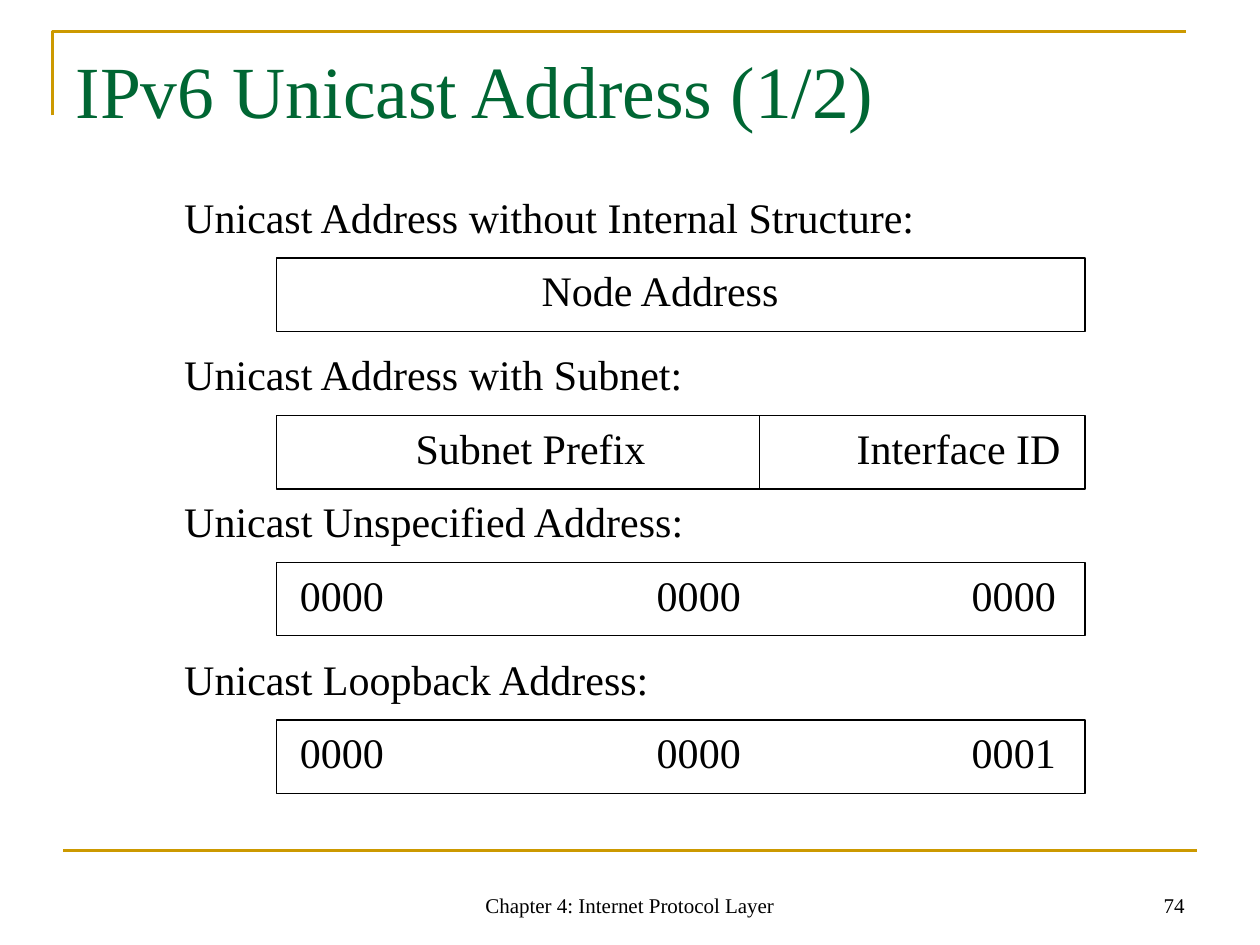
from pptx import Presentation
from pptx.dml.color import RGBColor
from pptx.enum.shapes import MSO_CONNECTOR, MSO_SHAPE
from pptx.enum.text import MSO_ANCHOR, MSO_AUTO_SIZE, PP_ALIGN
from pptx.oxml.ns import qn
from pptx.util import Pt
from lxml.etree import SubElement

BLACK, GOLD, GREEN = "000000", "CC9900", "006633"


def write(frame, text, size, color=BLACK, align=PP_ALIGN.LEFT,
          anchor=MSO_ANCHOR.TOP, wrap=False):
    """Fill a text frame with one formatted paragraph."""
    frame.text = text
    frame.word_wrap = wrap
    frame.auto_size = (MSO_AUTO_SIZE.NONE if wrap
                       else MSO_AUTO_SIZE.SHAPE_TO_FIT_TEXT)
    frame.vertical_anchor = anchor
    paragraph = frame.paragraphs[0]
    paragraph.alignment = align
    font = paragraph.runs[0].font
    font.name = "Times New Roman"
    font.size = Pt(size)
    font.color.rgb = RGBColor.from_string(color)


def draw_line(x1, y1, x2, y2, color, width):
    line = slide.shapes.add_connector(
        MSO_CONNECTOR.STRAIGHT, Pt(x1), Pt(y1), Pt(x2), Pt(y2))
    line.line.color.rgb = RGBColor.from_string(color)
    line.line.width = Pt(width)
    SubElement(line._element.spPr, qn("a:effectLst"))


prs = Presentation()
prs.slide_width, prs.slide_height = Pt(720), Pt(540)
slide = prs.slides.add_slide(prs.slide_layouts[5])

# Gold frame: corner above the title and rule above the footer
outline = slide.shapes.build_freeform(Pt(30), Pt(66))
outline.add_line_segments([(Pt(30), Pt(18)), (Pt(678), Pt(18))], close=False)
corner = outline.convert_to_shape()
corner.shadow.inherit = False
corner.fill.background()
corner.line.color.rgb = RGBColor.from_string(GOLD)
corner.line.width = Pt(1.5)
draw_line(36, 486, 684, 486, GOLD, 1.5)

# Footer and page number
for text, left, width, align in [
        ("Chapter 4: Internet Protocol Layer", 246, 228, PP_ALIGN.CENTER),
        ("74", 516, 168, PP_ALIGN.RIGHT)]:
    footer = slide.shapes.add_textbox(Pt(left), Pt(492), Pt(width), Pt(36))
    write(footer.text_frame, text, 12, align=align,
          anchor=MSO_ANCHOR.BOTTOM, wrap=True)

title = slide.shapes.title
title.left, title.top, title.width, title.height = Pt(36), Pt(22), Pt(648), Pt(90)
write(title.text_frame, "IPv6 Unicast Address (1/2)", 42, GREEN, wrap=True)

# Each address format: heading, heading width, top of its frame,
# and its fields as (text, left, width)
FRAME_LEFT, FRAME_WIDTH, FRAME_HEIGHT = 158, 462, 42
HEADING_RISE = 42
address_formats = [
    ("Unicast Address without Internal Structure:", 433, 147.5,
     [("Node Address", 302.4, 151.2)]),
    ("Unicast Address with Subnet:", 300.5, 237.5,
     [("Subnet Prefix", 230.4, 146)  , ("Interface ID", 482.4, 131.5)]),
    ("Unicast Unspecified Address:", 301.5, 321.4,
     [("0000", 164.2, 63), ("0000", 368.2, 63), ("0000", 548.2, 63)]),
    ("Unicast Loopback Address:", 281, 411.4,
     [("0000", 164.2, 63), ("0000", 368.2, 63), ("0001", 548.2, 63)]),
]
for heading, heading_width, top, fields in address_formats:
    frame = slide.shapes.add_shape(
        MSO_SHAPE.RECTANGLE, Pt(FRAME_LEFT), Pt(top),
        Pt(FRAME_WIDTH), Pt(FRAME_HEIGHT))
    frame.shadow.inherit = False
    frame.fill.background()
    frame.line.color.rgb = RGBColor.from_string(BLACK)
    frame.line.width = Pt(0.75)

    labels = [(heading, 98.2, top - HEADING_RISE, heading_width)]
    labels += [(text, left, top, width) for text, left, width in fields]
    for text, left, label_top, width in labels:
        label = slide.shapes.add_textbox(
            Pt(left), Pt(label_top + 0.3), Pt(width), Pt(36))
        write(label.text_frame, text, 24)

# Boundary between subnet prefix and interface ID
draw_line(434.2, 237.5, 434.2, 237.5 + FRAME_HEIGHT, BLACK, 0.75)

prs.save("out.pptx")
